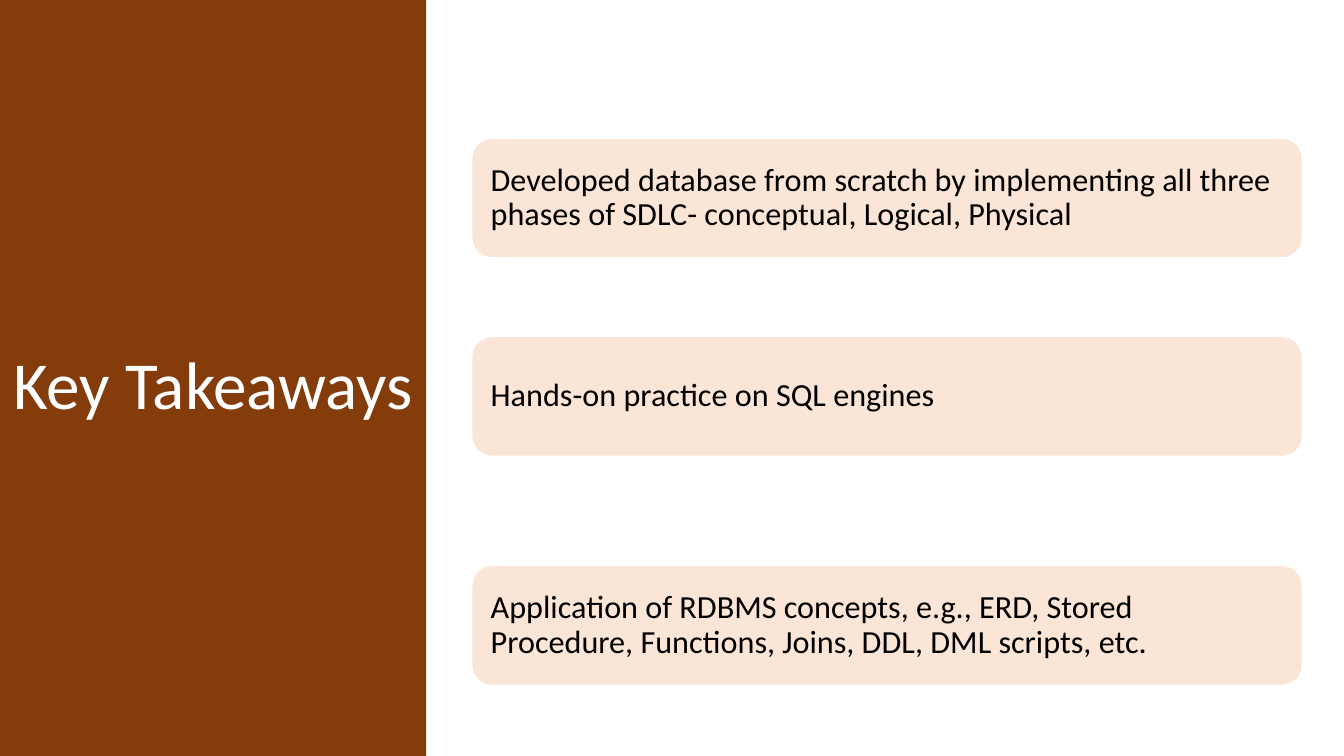
from dataclasses import dataclass

from pptx import Presentation
from pptx.dml.color import RGBColor
from pptx.enum.shapes import MSO_SHAPE
from pptx.enum.text import MSO_ANCHOR, MSO_AUTO_SIZE, PP_ALIGN
from pptx.util import Cm, Pt

RECTANGLE = MSO_SHAPE.RECTANGLE
ROUNDED = MSO_SHAPE.ROUNDED_RECTANGLE
TOP, MIDDLE = MSO_ANCHOR.TOP, MSO_ANCHOR.MIDDLE
LEFT, CENTER = PP_ALIGN.LEFT, PP_ALIGN.CENTER
NO_AUTOFIT = MSO_AUTO_SIZE.NONE

COLORS = {"panel": "843C0B", "card": "FBE5D6", "white": "FFFFFF", "black": "000000"}
FONT = "Calibri"
TITLE_ONLY = 5
PAGE_WIDTH, PAGE_HEIGHT = 33.87, 19.05
PANEL_WIDTH = 10.74
CARD_LEFT, CARD_WIDTH, CARD_HEIGHT = 11.89, 20.93, 3.02


@dataclass
class Takeaway:
    top: float
    text: str


TAKEAWAYS = [
    Takeaway(3.48, "Developed database from scratch by implementing all three "
                   "phases of SDLC- conceptual, Logical, Physical"),
    Takeaway(8.48, "Hands-on practice on SQL engines"),
    Takeaway(14.25, "Application of RDBMS concepts, e.g., ERD, Stored Procedure, "
                    "Functions, Joins, DDL, DML scripts, etc."),
]


def color(name: str) -> RGBColor:
    return RGBColor.from_string(COLORS[name])


def write(box, text: str, *, size: int, ink: str, align: PP_ALIGN,
          anchor: MSO_ANCHOR, side_margin: float) -> None:
    frame = box.text_frame
    frame.word_wrap = True
    frame.auto_size = NO_AUTOFIT
    frame.vertical_anchor = anchor
    frame.margin_left = frame.margin_right = Cm(side_margin)
    para = frame.paragraphs[0]
    para.alignment = align
    para.line_spacing = 0.9
    span = para.add_run()
    span.text = text
    span.font.name = FONT
    span.font.size = Pt(size)
    span.font.color.rgb = color(ink)


def add_block(page, kind: MSO_SHAPE, left: float, top: float,
              width: float, height: float, fill: str):
    block = page.shapes.add_shape(kind, Cm(left), Cm(top), Cm(width), Cm(height))
    block.shadow.inherit = False
    block.fill.solid()
    block.fill.fore_color.rgb = color(fill)
    block.line.fill.background()
    return block


def add_heading(page) -> None:
    panel = add_block(page, RECTANGLE, 0, 0, PANEL_WIDTH, PAGE_HEIGHT, "panel")
    title = page.shapes.title
    title.element.addprevious(panel.element)
    title.left, title.top = Cm(0), Cm(8.72)
    title.width, title.height = Cm(PANEL_WIDTH), Cm(2.72)
    write(title, "Key Takeaways", size=48, ink="white", align=CENTER,
          anchor=TOP, side_margin=0.25)


def add_card(page, takeaway: Takeaway) -> None:
    card = add_block(page, ROUNDED, CARD_LEFT, takeaway.top,
                     CARD_WIDTH, CARD_HEIGHT, "card")
    card.line.color.rgb = color("white")
    card.line.width = Pt(1)
    write(card, takeaway.text, size=23, ink="black", align=LEFT,
          anchor=MIDDLE, side_margin=0.33)


def main() -> None:
    deck = Presentation()
    deck.slide_width, deck.slide_height = Cm(PAGE_WIDTH), Cm(PAGE_HEIGHT)
    page = deck.slides.add_slide(deck.slide_layouts[TITLE_ONLY])
    add_heading(page)
    for takeaway in TAKEAWAYS:
        add_card(page, takeaway)
    deck.save("out.pptx")


if __name__ == "__main__":
    main()
